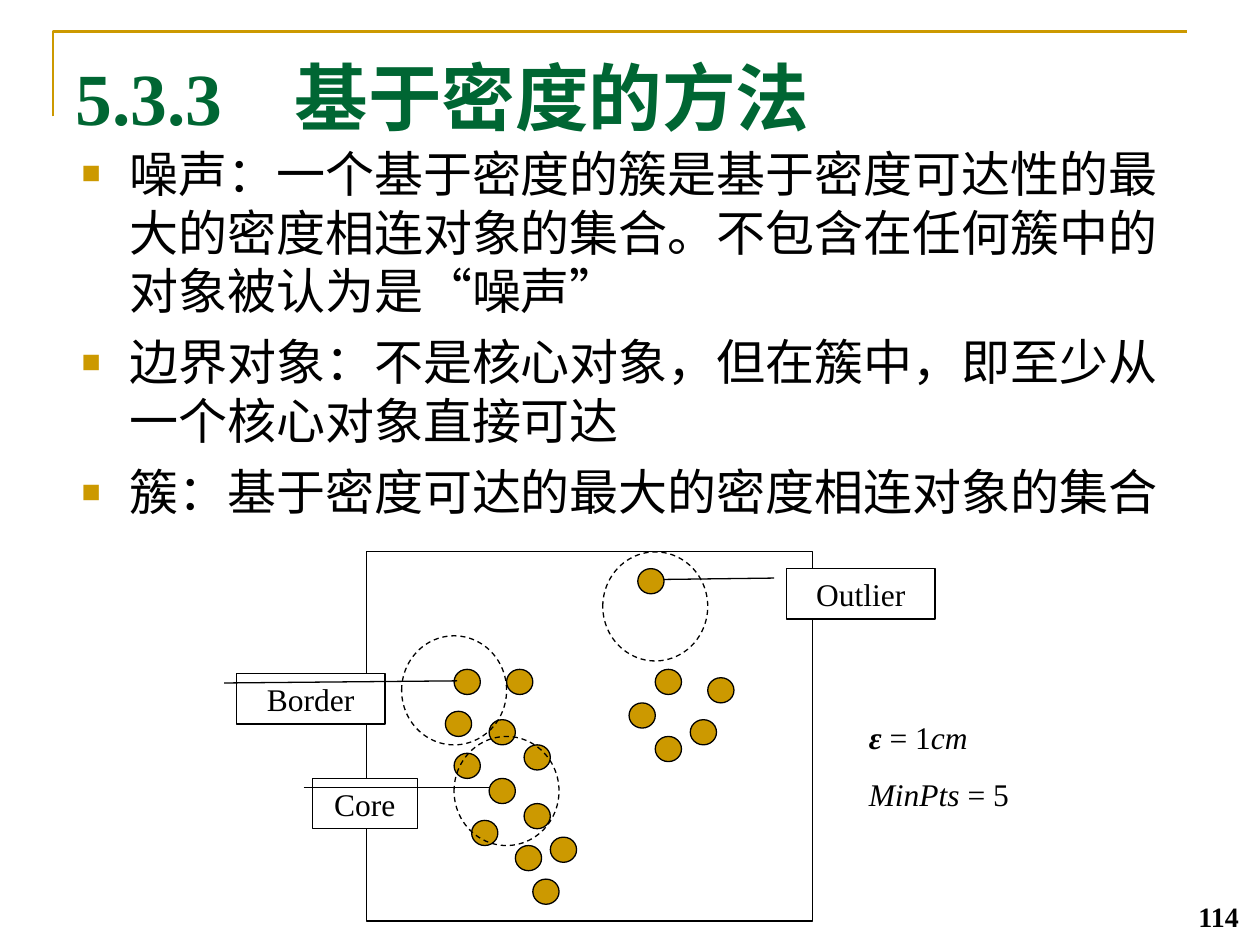
from dataclasses import dataclass

from lxml.etree import SubElement
from pptx import Presentation
from pptx.dml.color import RGBColor
from pptx.enum.dml import MSO_LINE
from pptx.enum.shapes import MSO_SHAPE
from pptx.enum.text import MSO_ANCHOR, PP_ALIGN
from pptx.oxml.ns import qn
from pptx.util import Inches, Pt


@dataclass(frozen=True)
class Theme:
    gold: RGBColor = RGBColor(0xCC, 0x99, 0x00)
    green: RGBColor = RGBColor(0x00, 0x66, 0x33)
    black: RGBColor = RGBColor(0, 0, 0)
    white: RGBColor = RGBColor(255, 255, 255)
    serif: str = "Times New Roman"
    sans: str = "Arial"
    hans: str = "Noto Sans CJK SC"
    title: int = 42
    body: int = 28
    label: int = 18
    page: int = 16


THEME = Theme()

# The plot frame is a grid of 51 columns by 44 rows
LEFT, TOP = 2.91, 4.38
COL, ROW = 3.54 / 51, 2.93 / 44

DOTS = [
    (10, 14), (9, 19), (14, 20), (16, 14), (18, 23), (10, 24),
    (14, 27), (12, 32), (17, 35), (19, 39), (18, 30), (21, 34),
    (31, 2), (33, 14), (30, 18), (37, 20), (39, 15), (33, 22),
]
RINGS = [(4, 10), (10, 22), (27, 0)]
CALLS = [
    ("Core", (-6.2, 27, 12, 6), (0.188, -0.083, 0.188, 1.687)),
    ("Border", (-14.9, 14.5, 17, 6), (0.188, -0.083, 0.145, 1.485)),
    ("Outlier", (48, 2, 17, 6), (0.188, -0.083, 0.215, -0.828)),
]
POINTS = [
    "噪声：一个基于密度的簇是基于密度可达性的最大的密度相连对象的集合。不包含在任何簇中的对象被认为是“噪声”",
    "边界对象：不是核心对象，但在簇中，即至少从一个核心对象直接可达",
    "簇：基于密度可达的最大的密度相连对象的集合",
]


def cells(col, row, wide, high):
    """Turn grid cells into left, top, width and height."""
    return [Inches(n) for n in
            (LEFT + col * COL, TOP + row * ROW, wide * COL, high * ROW)]


def style(font, size, color=THEME.black, face=THEME.serif, bold=False):
    font.size, font.name, font.bold = Pt(size), face, bold
    font.color.rgb = color


def add_text(slide, box):
    frame = slide.shapes.add_textbox(*box).text_frame
    frame.word_wrap = True
    return frame


def add_run(para, text, size, italic=False, **look):
    run = para.add_run()
    run.text = text
    style(run.font, size, **look)
    run.font.italic = italic
    return run


def add_mark(slide, kind, box, fill=None):
    mark = slide.shapes.add_shape(kind, *box)
    mark.shadow.inherit = False
    if fill is None:
        mark.fill.background()
    else:
        mark.fill.solid()
        mark.fill.fore_color.rgb = fill
    mark.line.color.rgb = THEME.black
    mark.line.width = Pt(0.75)
    return mark


def add_call(slide, text, box, tail):
    call = add_mark(slide, MSO_SHAPE.LINE_CALLOUT_1, cells(*box), THEME.white)
    for i, value in enumerate(tail):
        call.adjustments[i] = value
    frame = call.text_frame
    frame.text = text
    frame.vertical_anchor = MSO_ANCHOR.TOP
    para = frame.paragraphs[0]
    para.alignment = PP_ALIGN.CENTER
    style(para.runs[0].font, THEME.label)


def add_corner(slide, wide, high):
    x, y = 0.042 * wide, 0.033 * high
    pen = slide.shapes.build_freeform(x, 0.123 * high)
    pen.add_line_segments([(x, y), (0.942 * wide, y)], close=False)
    rule = pen.convert_to_shape()
    rule.shadow.inherit = False
    rule.fill.background()
    rule.line.color.rgb = THEME.gold
    rule.line.width = Pt(1.5)


def add_title(slide, wide, high):
    frame = add_text(slide, [int(n) for n in (
        0.05 * wide, 0.04 * high, 0.9 * wide, 0.124 * high)])
    frame.vertical_anchor = MSO_ANCHOR.MIDDLE
    para = frame.paragraphs[0]
    tabs = SubElement(para._p.get_or_add_pPr(), qn("a:tabLst"))
    SubElement(tabs, qn("a:tab"), pos=str(Inches(1.74)), algn="l")
    look = {"color": THEME.green, "bold": True}
    add_run(para, "5.3.3\t", THEME.title, **look)
    run = add_run(para, "基于密度的方法", THEME.title, face=THEME.hans, **look)
    SubElement(run.font._element, qn("a:ea"), typeface=THEME.hans)


def add_bullet(para):
    props = para._p.get_or_add_pPr()
    props.set("marL", str(Inches(0.38)))
    props.set("indent", str(-Inches(0.38)))
    tint = SubElement(props, qn("a:buClr"))
    SubElement(tint, qn("a:srgbClr"), val=str(THEME.gold))
    SubElement(props, qn("a:buSzPct"), val="65000")
    SubElement(props, qn("a:buFont"), typeface=THEME.sans)
    SubElement(props, qn("a:buChar"), char="■")


def add_points(slide, wide, high):
    frame = add_text(slide, [int(n) for n in (
        0.055 * wide, 0.145 * high, 0.9 * wide, 0.448 * high)])
    frame.text = "\n".join(POINTS)
    for i, para in enumerate(frame.paragraphs):
        add_bullet(para)
        if i:
            para.space_before = Pt(7)
        style(para.runs[0].font, THEME.body, face=THEME.sans)


def add_plot(slide):
    for col, row in DOTS:
        add_mark(slide, MSO_SHAPE.OVAL, cells(col, row, 3, 3), THEME.gold)
    add_mark(slide, MSO_SHAPE.RECTANGLE, cells(0, 0, 51, 44))
    for col, row in RINGS:
        ring = add_mark(slide, MSO_SHAPE.OVAL, cells(col, row, 12, 13))
        ring.line.dash_style = MSO_LINE.DASH
    for call in CALLS:
        add_call(slide, *call)


def add_params(slide):
    frame = add_text(slide, cells(56, 19, 25, 13))
    first, last = frame.paragraphs[0], frame.add_paragraph()
    add_run(first, "ε", THEME.label, italic=True, bold=True)
    add_run(first, " = 1", THEME.label)
    add_run(first, "cm", THEME.label, italic=True)
    last.space_before = Pt(11.2)
    add_run(last, "MinPts", THEME.label, italic=True)
    add_run(last, " = 5", THEME.label)


def add_page(slide, wide, high):
    frame = add_text(slide, [int(n) for n in (
        0.76 * wide, 0.927 * high, 0.233 * wide, 0.067 * high)])
    frame.text = "114"
    frame.vertical_anchor = MSO_ANCHOR.BOTTOM
    para = frame.paragraphs[0]
    para.alignment = PP_ALIGN.RIGHT
    style(para.runs[0].font, THEME.page, bold=True)


def main():
    deck = Presentation()
    deck.slide_width, deck.slide_height = Inches(10), Inches(7.5)
    slide = deck.slides.add_slide(deck.slide_layouts[6])
    size = deck.slide_width, deck.slide_height
    add_corner(slide, *size)
    add_title(slide, *size)
    add_points(slide, *size)
    add_page(slide, *size)
    add_plot(slide)
    add_params(slide)
    deck.save("out.pptx")


if __name__ == "__main__":
    main()
